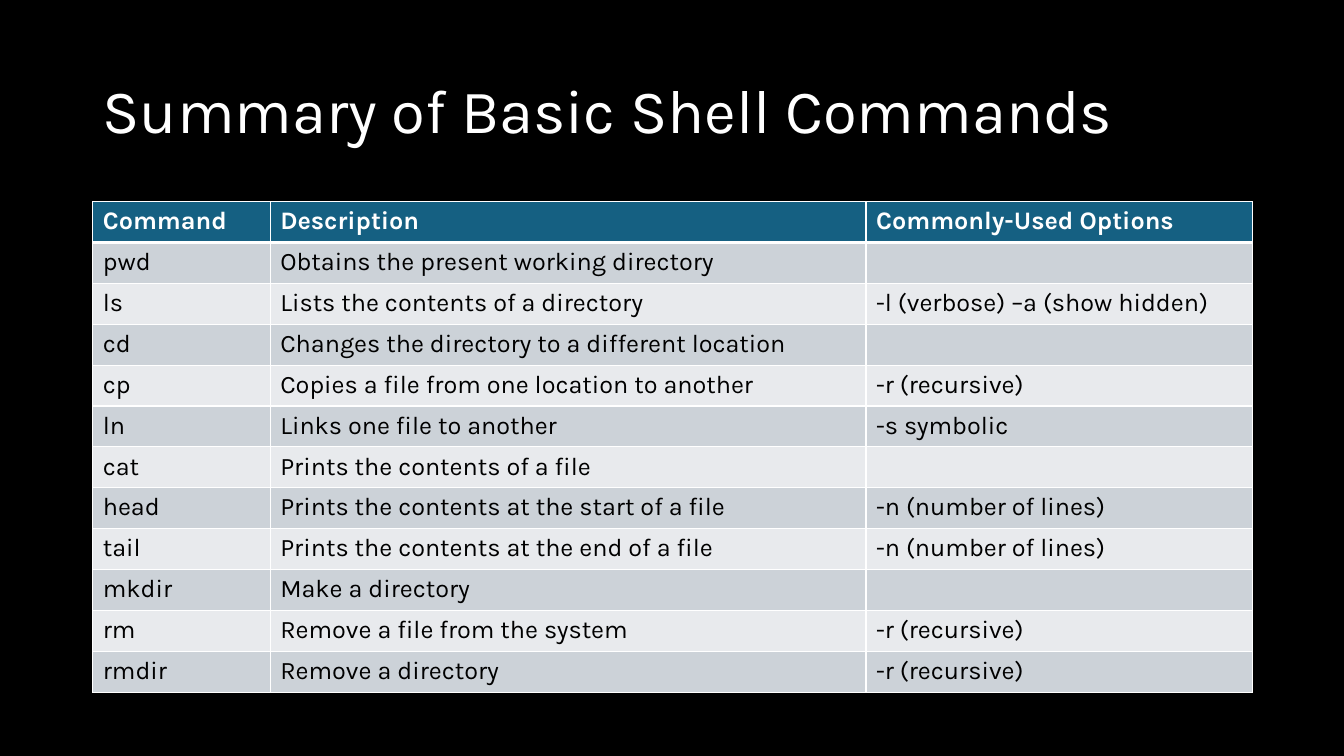
from dataclasses import dataclass

from lxml.etree import SubElement
from pptx import Presentation
from pptx.dml.color import RGBColor as Rgb
from pptx.enum.text import MSO_ANCHOR as Anchor
from pptx.oxml.ns import qn
from pptx.util import Inches, Pt

TITLE = "Summary of Basic Shell Commands"
HEADINGS = ("Command", "Description", "Commonly-Used Options")
COMMANDS = [
    ("pwd", "Obtains the present working directory", ""),
    ("ls", "Lists the contents of a directory", "-l (verbose) –a (show hidden)"),
    ("cd", "Changes the directory to a different location", ""),
    ("cp", "Copies a file from one location to another", "-r (recursive)"),
    ("ln", "Links one file to another", "-s symbolic"),
    ("cat", "Prints the contents of a file", ""),
    ("head", "Prints the contents at the start of a file", "-n (number of lines)"),
    ("tail", "Prints the contents at the end of a file", "-n (number of lines)"),
    ("mkdir", "Make a directory", ""),
    ("rm", "Remove a file from the system", "-r (recursive)"),
    ("rmdir", "Remove a directory", "-r (recursive)"),
]
COLUMN_WIDTHS = (1.76, 5.91, 3.83)
LEFT, WIDTH = 0.92, 11.5
TITLE_TOP, TITLE_HEIGHT = 0.4, 1.45
TABLE_TOP, TABLE_HEIGHT = 2, 4.87


@dataclass(frozen=True)
class Theme:
    font: str = "Karla"
    title_size: int = 44
    table_size: int = 18
    background: str = "000000"
    light_text: str = "FFFFFF"
    dark_text: str = "000000"
    header_fill: str = "156082"
    band_fills: tuple = ("E8EAED", "CCD2D8")
    border: str = "FFFFFF"
    thin: int = 1
    thick: int = 3


THEME = Theme()


def write(para, text, size, color, bold=False):
    para.text = text
    for span in para.runs:
        span.font.name = THEME.font
        span.font.size = Pt(size)
        span.font.bold = bold
        span.font.color.rgb = Rgb.from_string(color)


def set_borders(cell, top, bottom):
    """Draw all four sides; top and bottom are widths in points."""
    properties = cell._tc.get_or_add_tcPr()
    widths = {"L": THEME.thin, "R": THEME.thin, "T": top, "B": bottom}
    for side, width in widths.items():
        line = SubElement(properties, qn(f"a:ln{side}"), w=str(Pt(width)))
        fill = SubElement(line, qn("a:solidFill"))
        SubElement(fill, qn("a:srgbClr"), val=THEME.border)


def add_title(page):
    box = page.shapes.add_textbox(
        Inches(LEFT), Inches(TITLE_TOP), Inches(WIDTH), Inches(TITLE_HEIGHT))
    frame = box.text_frame
    frame.word_wrap = True
    frame.vertical_anchor = Anchor.MIDDLE
    para = frame.paragraphs[0]
    para.line_spacing = 0.9
    write(para, TITLE, THEME.title_size, THEME.light_text)


def add_command_table(page):
    rows = [HEADINGS, *COMMANDS]
    table = page.shapes.add_table(
        len(rows), len(HEADINGS), Inches(LEFT), Inches(TABLE_TOP),
        Inches(WIDTH), Inches(TABLE_HEIGHT)).table
    table.horz_banding = False
    for column, width in zip(table.columns, COLUMN_WIDTHS):
        column.width = Inches(width)

    for row_index, row in enumerate(rows):
        header = row_index == 0
        fill = THEME.header_fill if header else THEME.band_fills[row_index % 2]
        color = THEME.light_text if header else THEME.dark_text
        top = THEME.thick if row_index == 1 else THEME.thin
        bottom = THEME.thick if header else THEME.thin
        for column_index, text in enumerate(row):
            cell = table.cell(row_index, column_index)
            set_borders(cell, top, bottom)
            cell.fill.solid()
            cell.fill.fore_color.rgb = Rgb.from_string(fill)
            if text:
                write(cell.text_frame.paragraphs[0], text,
                      THEME.table_size, color, bold=header)


def main():
    deck = Presentation()
    deck.slide_width, deck.slide_height = Inches(13.33), Inches(7.5)
    page = deck.slides.add_slide(deck.slide_layouts[6])
    page.background.fill.solid()
    page.background.fill.fore_color.rgb = Rgb.from_string(THEME.background)
    add_title(page)
    add_command_table(page)
    deck.save("out.pptx")


if __name__ == "__main__":
    main()
